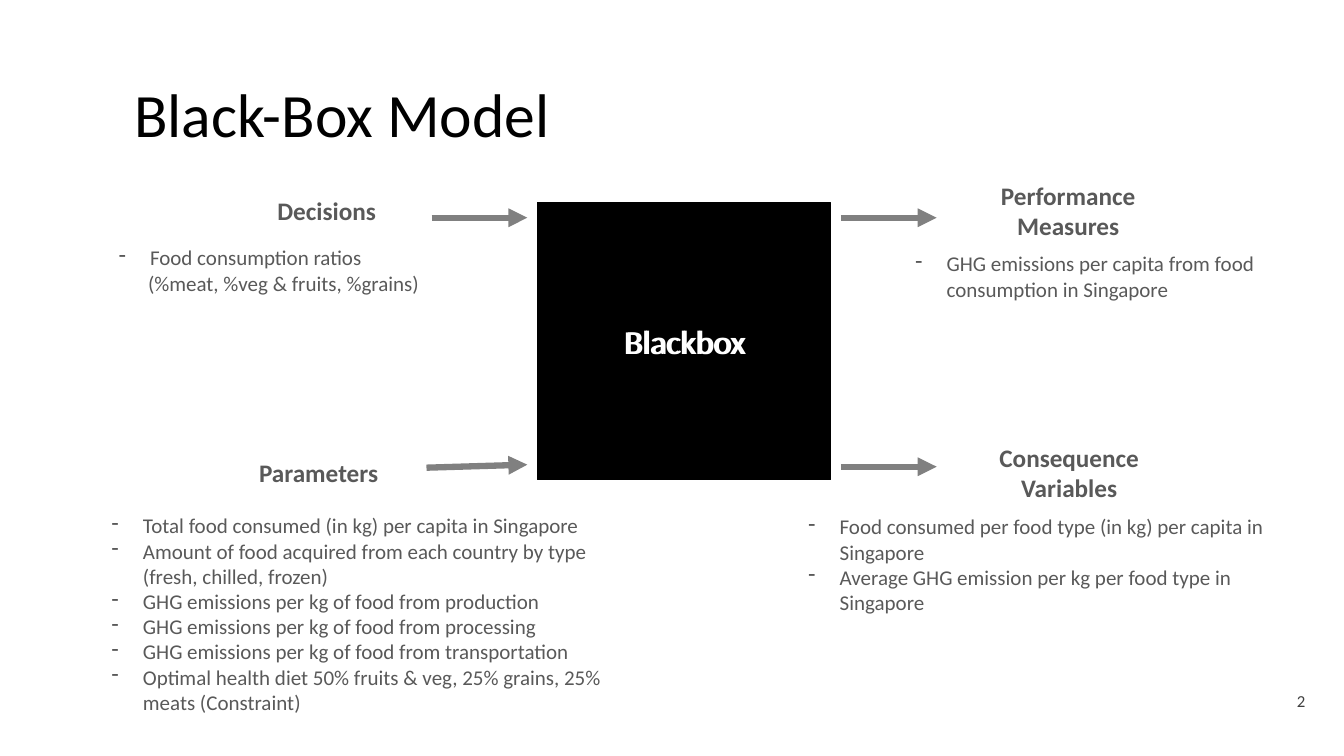
from lxml.etree import SubElement
from pptx import Presentation
from pptx.dml.color import RGBColor
from pptx.enum.shapes import MSO_CONNECTOR, MSO_SHAPE
from pptx.enum.text import MSO_ANCHOR, MSO_AUTO_SIZE, PP_ALIGN
from pptx.oxml.ns import qn
from pptx.util import Inches, Pt

WIDTH, HEIGHT = 13.33, 7.5
FONT = "Calibri"
BLACK, WHITE, GREY, ARROW_GREY, NUMBER_GREY = "000000", "FFFFFF", "595959", "808080", "404040"

TITLE = "Black-Box Model"
BOX_LABEL = "Blackbox"
PAGE_NUMBER = "2"

# Each part: heading, heading area, list area, list lines as (text, bulleted)
PARTS = [
    ("Decisions", (2.43, 1.89, 1.62, 0.4), (1.08, 2.38, 3.63, 0.61), [
        ("Food consumption ratios", True),
        ("(%meat, %veg & fruits, %grains)", False),
    ]),
    ("Parameters", (2.35, 4.49, 1.62, 0.4), (1.01, 5.04, 5.48, 2.37), [
        ("Total food consumed (in kg) per capita in Singapore", True),
        ("Amount of food acquired from each country by type (fresh, chilled, frozen)", True),
        ("GHG emissions per kg of food from production", True),
        ("GHG emissions per kg of food from processing", True),
        ("GHG emissions per kg of food from transportation", True),
        ("Optimal health diet 50% fruits & veg, 25% grains, 25% meats (Constraint)", True),
    ]),
    ("Performance Measures", (9.51, 1.74, 2.17, 0.71), (8.98, 2.44, 3.58, 0.61), [
        ("GHG emissions per capita from food consumption in Singapore", True),
    ]),
    ("Consequence Variables", (9.52, 4.34, 2.17, 0.71), (7.92, 5.05, 4.73, 1.36), [
        ("Food consumed per food type (in kg) per capita in Singapore", True),
        ("Average GHG emission per kg per food type in Singapore", True),
    ]),
]

BOX_LEFT, BOX_TOP, BOX_WIDTH, BOX_HEIGHT = 5.33, 2.01, 2.91, 2.75
BOX_RIGHT, BOX_BOTTOM = BOX_LEFT + BOX_WIDTH, BOX_TOP + BOX_HEIGHT
GAP, ARROW_LENGTH = 0.1, 0.95
INPUT_END, OUTPUT_START = BOX_LEFT - GAP, BOX_RIGHT + GAP
UPPER_ROW, LOWER_ROW = BOX_TOP + 0.15, BOX_BOTTOM - 0.13
ARROWS = [
    (INPUT_END - ARROW_LENGTH, UPPER_ROW, INPUT_END, UPPER_ROW),
    (INPUT_END - 1, LOWER_ROW + 0.01, INPUT_END, LOWER_ROW - 0.02),
    (OUTPUT_START, UPPER_ROW, OUTPUT_START + ARROW_LENGTH, UPPER_ROW),
    (OUTPUT_START, LOWER_ROW, OUTPUT_START + ARROW_LENGTH, LOWER_ROW),
]


def color(hex_string):
    return RGBColor.from_string(hex_string)


def inches(*lengths):
    return [Inches(length) for length in lengths]


def write(paragraph, text, size, hex_string, bold=False, align=PP_ALIGN.LEFT):
    paragraph.alignment = align
    run = paragraph.add_run()
    run.text = text
    run.font.name = FONT
    run.font.size = Pt(size)
    run.font.bold = bold
    run.font.color.rgb = color(hex_string)


def add_frame(slide, area, anchor=MSO_ANCHOR.TOP):
    """Add a wrapping text box and return its text frame."""
    frame = slide.shapes.add_textbox(*inches(*area)).text_frame
    frame.word_wrap = True
    frame.vertical_anchor = anchor
    return frame


def add_list(slide, area, lines):
    frame = add_frame(slide, area)
    for index, (text, bulleted) in enumerate(lines):
        paragraph = frame.add_paragraph() if index else frame.paragraphs[0]
        write(paragraph, text, 15, GREY)
        properties = paragraph._p.get_or_add_pPr()
        properties.set("marL", str(Inches(0.31 if bulleted else 0.29)))
        properties.set("indent", str(Inches(-0.31 if bulleted else 0)))
        if bulleted:
            SubElement(properties, qn("a:buChar"), char="-")


def add_arrow(slide, ends):
    arrow = slide.shapes.add_connector(MSO_CONNECTOR.STRAIGHT, *inches(*ends))
    arrow.line.color.rgb = color(ARROW_GREY)
    arrow.line.width = Pt(4.5)
    SubElement(arrow.line._get_or_add_ln(), qn("a:tailEnd"), type="triangle")
    SubElement(arrow._element.spPr, qn("a:effectLst"))


def add_title(slide):
    title = slide.shapes.title
    title.left, title.top, title.width, title.height = inches(1.23, 0.63, 10.46, 0.92)
    frame = title.text_frame
    frame.auto_size = MSO_AUTO_SIZE.NONE
    frame.vertical_anchor = MSO_ANCHOR.BOTTOM
    frame.paragraphs[0].line_spacing = 0.9
    write(frame.paragraphs[0], TITLE, 44, BLACK)


def add_black_box(slide):
    """Draw the box; its label is set twice, slightly offset, to look heavier."""
    area = (BOX_LEFT, BOX_TOP, BOX_WIDTH, BOX_HEIGHT)
    box = slide.shapes.add_shape(MSO_SHAPE.RECTANGLE, *inches(*area))
    box.shadow.inherit = False
    box.fill.solid()
    box.fill.fore_color.rgb = color(BLACK)
    box.line.color.rgb = color(BLACK)
    box.line.width = Pt(1)
    box.text_frame.vertical_anchor = MSO_ANCHOR.MIDDLE
    overlay = add_frame(slide, (BOX_LEFT + 0.02, *area[1:]), MSO_ANCHOR.MIDDLE)
    for frame in (box.text_frame, overlay):
        write(frame.paragraphs[0], BOX_LABEL, 24, WHITE, align=PP_ALIGN.CENTER)


def main():
    deck = Presentation()
    deck.slide_width, deck.slide_height = inches(WIDTH, HEIGHT)
    slide = deck.slides.add_slide(deck.slide_layouts[5])
    add_title(slide)
    add_black_box(slide)
    for ends in ARROWS:
        add_arrow(slide, ends)
    for heading, heading_area, list_area, lines in PARTS:
        frame = add_frame(slide, heading_area)
        write(frame.paragraphs[0], heading, 18, GREY, True, PP_ALIGN.CENTER)
        add_list(slide, list_area, lines)
    number = add_frame(slide, (WIDTH - 0.85, 6.7, 0.85, 0.5), MSO_ANCHOR.MIDDLE)
    write(number.paragraphs[0], PAGE_NUMBER, 12, NUMBER_GREY, align=PP_ALIGN.CENTER)
    deck.save("out.pptx")


if __name__ == "__main__":
    main()
